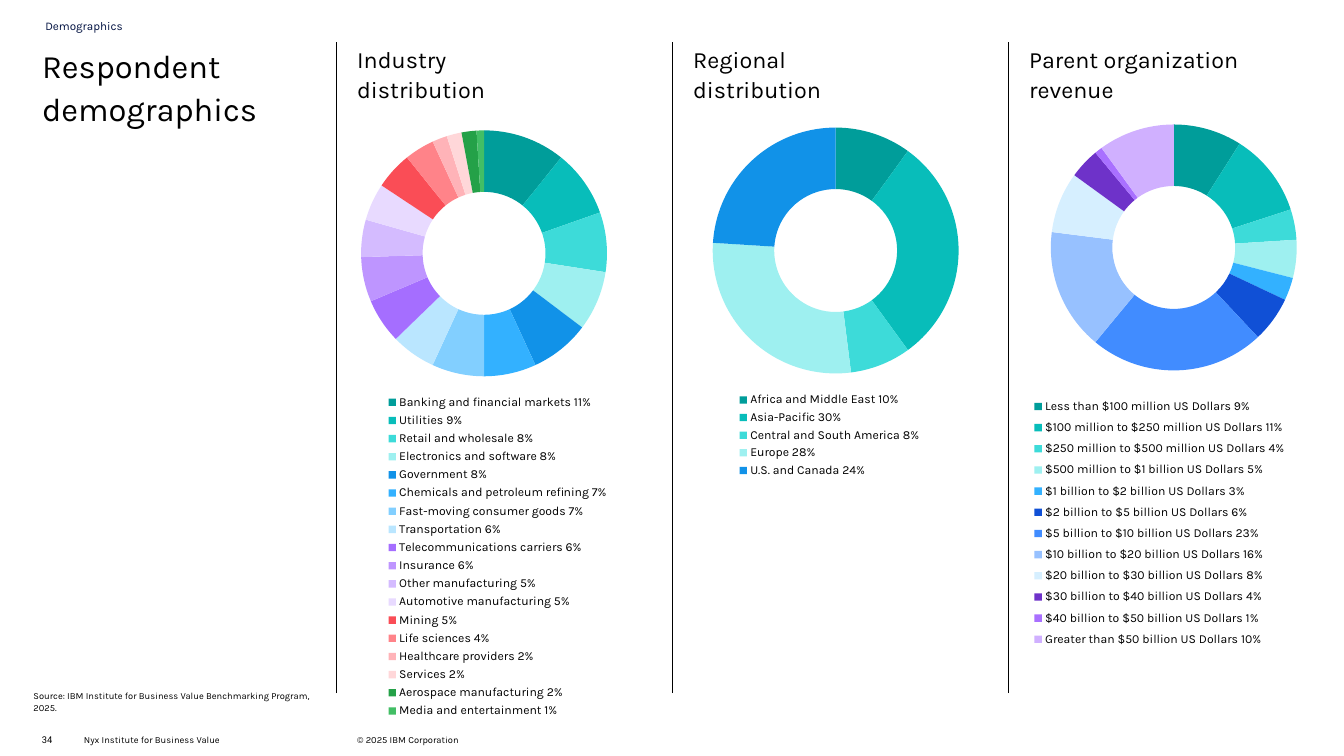
import pptx
import pptx.chart.data
import pptx.dml.color
import pptx.enum.chart
import pptx.enum.shapes
import pptx.enum.text
import pptx.oxml
import pptx.oxml.ns
import pptx.util
from dataclasses import dataclass

Cm = pptx.util.Cm
Pt = pptx.util.Pt
qn = pptx.oxml.ns.qn
Box = tuple[float, float, float, float]
Slice = tuple[str, int, str]
COL = 10.16  # width of one of the four columns, cm
HIGH = 22.86


@dataclass(frozen=True)
class Theme:
    font: str = "Karla"
    digit: str = "Roboto"
    ink: str = "000000"
    navy: str = "001141"
    title: float = 28
    head: float = 20
    label: float = 10
    key: float = 10.5
    small: float = 8


@dataclass(frozen=True)
class Ring:
    head: str
    inset: float  # right inset of the heading, cm
    box: Box
    plot: Box  # fractions of the chart
    key: Box  # fractions of the chart
    slices: tuple[Slice, ...]


THEME = Theme()

# Data: one ring chart for each of the three right columns
RINGS = (
    Ring("Industry\ndistribution", 0.64, (8.97, 0, 12.19, 23.22),
         (0.16, 0.08, 0.61, 0.5), (0.22, 0.51, 0.56, 0.43), (
        ("Banking and financial markets", 11, "009D9A"),
        ("Utilities", 9, "08BDBA"),
        ("Retail and wholesale", 8, "3DDBD9"),
        ("Electronics and software", 8, "9EF0F0"),
        ("Government", 8, "1192E8"),
        ("Chemicals and petroleum refining", 7, "33B1FF"),
        ("Fast-moving consumer goods", 7, "82CFFF"),
        ("Transportation", 6, "BAE6FF"),
        ("Telecommunications carriers", 6, "A56EFF"),
        ("Insurance", 6, "BE95FF"),
        ("Other manufacturing", 5, "D4BBFF"),
        ("Automotive manufacturing", 5, "E8DAFF"),
        ("Mining", 5, "FA4D56"),
        ("Life sciences", 4, "FF8389"),
        ("Healthcare providers", 2, "FFB3B8"),
        ("Services", 2, "FFD7D9"),
        ("Aerospace manufacturing", 2, "24A148"),
        ("Media and entertainment", 1, "42BE65"))),
    Ring("Regional\ndistribution", 0.64, (19.48, 1.9, 12.19, 18.31),
         (0.17, 0.06, 0.61, 0.5), (0.23, 0.54, 0.46, 0.15), (
        ("Africa and Middle East", 10, "009D9A"),
        ("Asia-Pacific", 30, "08BDBA"),
        ("Central and South America", 8, "3DDBD9"),
        ("Europe", 28, "9EF0F0"),
        ("U.S. and Canada", 24, "1192E8"))),
    Ring("Parent organization\nrevenue", 1.27, (29.46, 2.54, 12.19, 18.31),
         (0.19, 0.02, 0.61, 0.5), (0.14, 0.51, 0.64, 0.43), (
        ("Less than $100 million US Dollars", 9, "009D9A"),
        ("$100 million to $250 million US Dollars", 11, "08BDBA"),
        ("$250 million to $500 million US Dollars", 4, "3DDBD9"),
        ("$500 million to $1 billion US Dollars", 5, "9EF0F0"),
        ("$1 billion to $2 billion US Dollars", 3, "33B1FF"),
        ("$2 billion to $5 billion US Dollars", 6, "1050D6"),
        ("$5 billion to $10 billion US Dollars", 23, "418CFF"),
        ("$10 billion to $20 billion US Dollars", 16, "97C1FF"),
        ("$20 billion to $30 billion US Dollars", 8, "D6EFFF"),
        ("$30 billion to $40 billion US Dollars", 4, "6E32C9"),
        ("$40 billion to $50 billion US Dollars", 1, "A970FF"),
        ("Greater than $50 billion US Dollars", 10, "D0B0FF"))),
)


def tint(code: str) -> pptx.dml.color.RGBColor:
    return pptx.dml.color.RGBColor.from_string(code)


def write(shape, text: str, *, box: Box, size: float, font: str = THEME.font,
          color: str = THEME.ink, pad: Box = (0.25, 0.13, 0.25, 0.13),
          anchor: str = "TOP", space: float = 1.1) -> None:
    """Place a shape and fill it with one plain paragraph."""
    shape.left, shape.top, shape.width, shape.height = map(Cm, box)
    frame = shape.text_frame
    frame.word_wrap = True
    frame.auto_size = pptx.enum.text.MSO_AUTO_SIZE.NONE
    frame.vertical_anchor = pptx.enum.text.MSO_ANCHOR[anchor]
    (frame.margin_left, frame.margin_top,
     frame.margin_right, frame.margin_bottom) = map(Cm, pad)
    para = frame.paragraphs[0]
    para.text = text
    para.alignment = pptx.enum.text.PP_ALIGN.LEFT
    para.line_spacing = space
    para.space_before = Pt(0)
    if shape.is_placeholder:
        props = para._p.get_or_add_pPr()
        props.set("marL", "0")
        props.set("indent", "0")
        props.append(props.makeelement(qn("a:buNone"), {}))
    for run in para.runs:
        run.font.name, run.font.size, run.font.bold = font, Pt(size), False
        run.font.color.rgb = tint(color)


def layout(box: Box, inner: bool = False):
    """Build a manual chart layout from fractions."""
    rows = [("layoutTarget", "inner")] if inner else []
    rows += [("xMode", "edge"), ("yMode", "edge"), *zip("xywh", box)]
    body = "".join(f'<c:{tag} val="{val}"/>' for tag, val in rows)
    return pptx.oxml.parse_xml(
        f'<c:layout xmlns:c="{pptx.oxml.ns.nsuri("c")}">'
        f'<c:manualLayout>{body}</c:manualLayout></c:layout>')


def draw_ring(slide, ring: Ring) -> None:
    data = pptx.chart.data.CategoryChartData()
    data.categories = [f"{name} {share}%" for name, share, _ in ring.slices]
    data.add_series("Series 1", [share for _, share, _ in ring.slices])
    chart = slide.shapes.add_chart(
        pptx.enum.chart.XL_CHART_TYPE.DOUGHNUT, *map(Cm, ring.box), data).chart
    chart.has_title = False
    chart.font.name, chart.font.size = THEME.font, Pt(THEME.label)
    chart.font.color.rgb = tint(THEME.ink)

    # Slices
    plot = chart.plots[0]
    plot.has_data_labels = False
    for spot, (_, _, code) in enumerate(ring.slices):
        form = plot.series[0].points[spot].format
        form.fill.solid()
        form.fill.fore_color.rgb = tint(code)
        form.line.fill.background()
    for hole in chart._chartSpace.iter(qn("c:holeSize")):
        hole.set("val", "88")

    # Legend
    chart.has_legend = True
    key = chart.legend
    key.position = pptx.enum.chart.XL_LEGEND_POSITION.BOTTOM
    key.include_in_layout = False
    key.font.name, key.font.size = THEME.font, Pt(THEME.key)
    key.font.color.rgb = tint(THEME.ink)

    # Fixed places for plot and legend
    area = next(chart._chartSpace.iter(qn("c:plotArea")))
    for node in (area, key._element):
        for old in node.findall(qn("c:layout")):
            node.remove(old)
    area.insert(0, layout(ring.plot, inner=True))
    key._element.find(qn("c:legendPos")).addnext(layout(ring.key))


def draw_rule(slide, left: float) -> None:
    rule = slide.shapes.add_connector(
        pptx.enum.shapes.MSO_CONNECTOR.STRAIGHT,
        Cm(left), Cm(20.96), Cm(left), Cm(1.27))
    rule.line.color.rgb = tint(THEME.ink)
    rule.line.width = Pt(0.25)
    props = rule._element.spPr
    props.append(props.makeelement(qn("a:effectLst"), {}))


def main() -> None:
    deck = pptx.Presentation()
    deck.slide_width, deck.slide_height = Cm(4 * COL), Cm(HIGH)
    slide = deck.slides.add_slide(deck.slide_layouts.get_by_name("Comparison"))
    title, *heads, source = slide.placeholders

    # Title, source and column headings
    write(title, "Respondent\ndemographics", box=(0, 0, COL, HIGH),
          size=THEME.title, pad=(1.27, 1.27, 0.64, 0.64))
    write(source, "Source: IBM Institute for Business Value Benchmarking "
          "Program, 2025.", box=(0.76, 20.35, 9.25, 1.35),
          size=THEME.small, anchor="BOTTOM")
    for col, (head, ring) in enumerate(zip(heads, RINGS), 1):
        draw_rule(slide, col * COL)
        draw_ring(slide, ring)
        write(head, ring.head, box=(col * COL, 0, COL, HIGH),
              size=THEME.head, pad=(0.64, 1.27, ring.inset, 0.64))

    # Section label and footer
    def note(text: str, **form) -> None:
        write(slide.shapes.add_textbox(0, 0, 0, 0), text, **form)

    flat = dict(size=THEME.small, pad=(0, 0, 0, 0))
    note("Demographics", box=(1.12, 0.43, 8.26, 1.07), size=THEME.label,
         color=THEME.navy, space=1.0)
    note("34", box=(1.27, 22.17, 1.27, 0.69), font=THEME.digit, **flat)
    for left, text in ((2.54, "Nyx Institute for Business Value"),
                       (10.8, "© 2025 IBM Corporation")):
        note(text, box=(left, 22.07, 6.35, 0.61), anchor="MIDDLE",
             space=1.0, **flat)

    deck.save("out.pptx")


if __name__ == "__main__":
    main()
